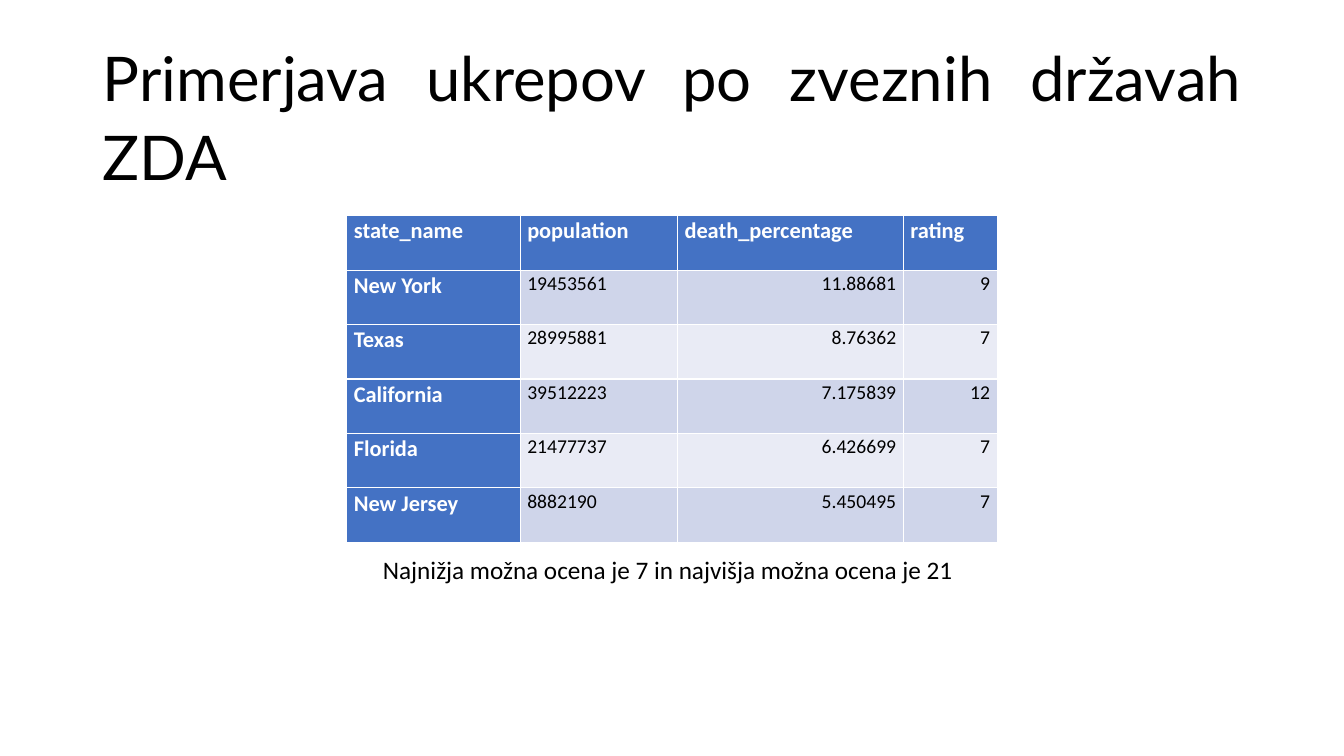
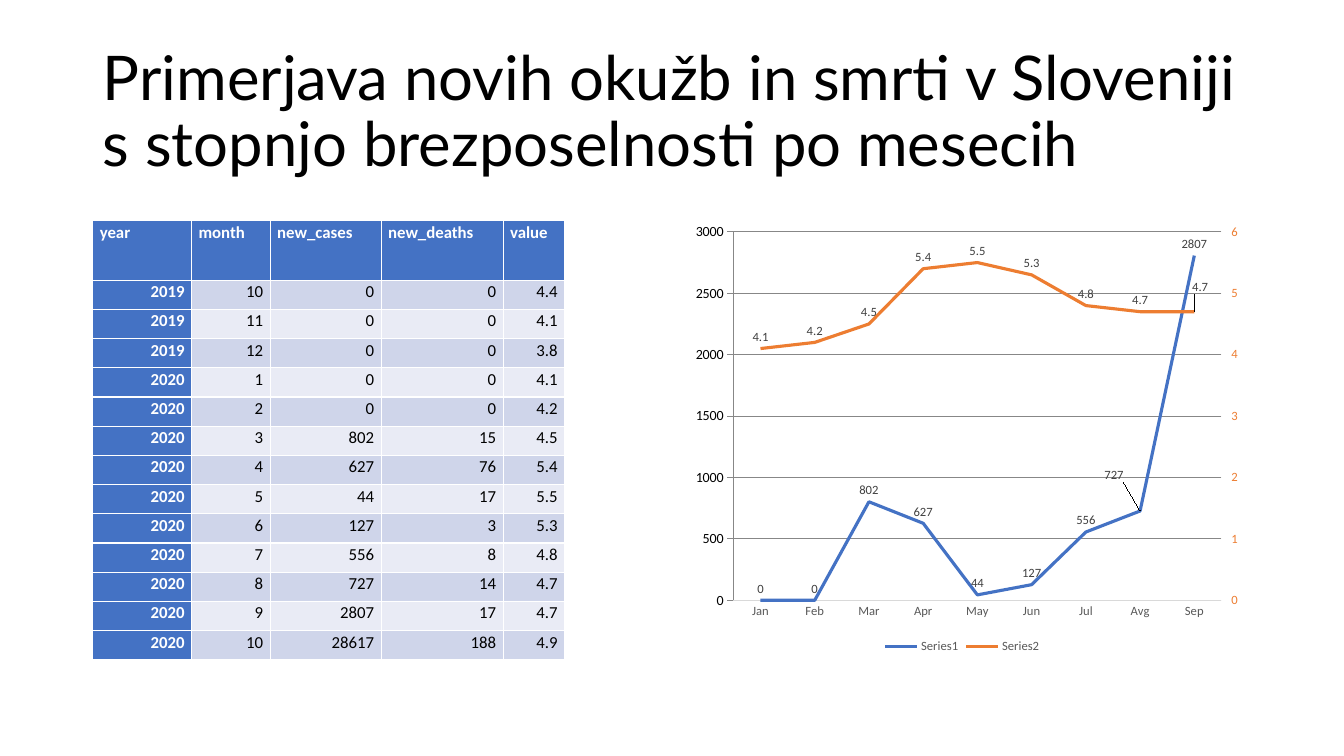
"""Build two slides that compare state measures and monthly unemployment."""
from copy import deepcopy

from pptx import Presentation
from pptx.chart.axis import CategoryAxis, ValueAxis
from pptx.chart.data import CategoryChartData
from pptx.dml.color import RGBColor
from pptx.enum.chart import (XL_CHART_TYPE, XL_LABEL_POSITION,
                             XL_LEGEND_POSITION, XL_TICK_MARK)
from pptx.enum.text import MSO_ANCHOR, MSO_AUTO_SIZE, PP_ALIGN
from pptx.oxml import parse_xml
from pptx.oxml.ns import nsdecls, qn
from pptx.util import Inches, Pt

BLUE, ORANGE, WHITE, BLACK = "4472C4", "ED7D31", "FFFFFF", "000000"
BANDS = ("E9EBF5", "CFD5EA")
GRID, AXIS_TEXT, LABEL_TEXT = "D9D9D9", "595959", "404040"
BODY_FONT, TITLE_FONT = "Calibri", "Lato"


def color(hex_text):
    return RGBColor.from_string(hex_text)


def write(frame, text, size=18, font=BODY_FONT, ink=BLACK, bold=False,
          align=PP_ALIGN.LEFT, spacing=1.0, before=0, after=0):
    para = frame.paragraphs[0]
    para.alignment = align
    para.line_spacing = spacing
    para.space_before, para.space_after = Pt(before), Pt(after)
    span = para.add_run()
    span.text = text
    span.font.name, span.font.size, span.font.bold = font, Pt(size), bold
    span.font.color.rgb = color(ink)


deck = Presentation()
deck.slide_width, deck.slide_height = Inches(13.33), Inches(7.5)

state_rows = [
    ("state_name", "population", "death_percentage", "rating"),
    ("New York", "19453561", "11.88681", "9"),
    ("Texas", "28995881", "8.76362", "7"),
    ("California", "39512223", "7.175839", "12"),
    ("Florida", "21477737", "6.426699", "7"),
    ("New Jersey", "8882190", "5.450495", "7"),
]
month_rows = [
    ("year", "month", "new_cases", "new_deaths", "value"),
    ("2019", "10", "0", "0", "4.4"),
    ("2019", "11", "0", "0", "4.1"),
    ("2019", "12", "0", "0", "3.8"),
    ("2020", "1", "0", "0", "4.1"),
    ("2020", "2", "0", "0", "4.2"),
    ("2020", "3", "802", "15", "4.5"),
    ("2020", "4", "627", "76", "5.4"),
    ("2020", "5", "44", "17", "5.5"),
    ("2020", "6", "127", "3", "5.3"),
    ("2020", "7", "556", "8", "4.8"),
    ("2020", "8", "727", "14", "4.7"),
    ("2020", "9", "2807", "17", "4.7"),
    ("2020", "10", "28617", "188", "4.9"),
]
contents = [
    dict(title="Primerjava ukrepov po zveznih državah ZDA",
         title_format=dict(align=PP_ALIGN.JUSTIFY, spacing=1.07, before=2, after=12),
         rows=state_rows, left=3.44, top=2.14, widths=(1.72, 1.56, 2.24, 0.93),
         header_height=0.54, row_height=0.54, head_size=16, body_size=14,
         left_columns=2),
    dict(title="Primerjava novih okužb in smrti v Sloveniji "
               "s stopnjo brezposelnosti po mesecih",
         title_format=dict(spacing=0.9),
         rows=month_rows, left=0.92, top=2.19, widths=(0.98, 0.78, 1.1, 1.21, 0.61),
         header_height=0.59, row_height=0.29, head_size=12, body_size=12,
         left_columns=0),
]

for content in contents:
    page = deck.slides.add_slide(deck.slide_layouts[5])
    title = page.shapes.title
    title.left, title.top = Inches(0.92), Inches(0.4)
    title.width, title.height = Inches(11.5), Inches(1.45)
    title.text_frame.word_wrap = True
    title.text_frame.auto_size = MSO_AUTO_SIZE.NONE
    title.text_frame.vertical_anchor = MSO_ANCHOR.MIDDLE
    write(title.text_frame, content["title"], size=44, font=TITLE_FONT,
          **content["title_format"])

    rows, widths = content["rows"], content["widths"]
    heights = [content["header_height"]] + [content["row_height"]] * (len(rows) - 1)
    table = page.shapes.add_table(
        len(rows), len(widths), Inches(content["left"]), Inches(content["top"]),
        Inches(sum(widths)), Inches(sum(heights))).table
    table.first_col = True
    for column, width in zip(table.columns, widths):
        column.width = Inches(width)
    for row_index, values in enumerate(rows):
        table.rows[row_index].height = Inches(heights[row_index])
        for column_index, value in enumerate(values):
            cell = table.cell(row_index, column_index)
            heading = row_index == 0 or column_index == 0
            to_left = row_index == 0 or column_index < content["left_columns"]
            cell.margin_left = cell.margin_right = Inches(0.07)
            cell.margin_top = cell.margin_bottom = 0
            cell.fill.solid()
            cell.fill.fore_color.rgb = color(BLUE if heading else BANDS[row_index % 2])
            write(cell.text_frame, value, bold=heading,
                  size=content["head_size"] if heading else content["body_size"],
                  ink=WHITE if heading else BLACK,
                  align=PP_ALIGN.LEFT if to_left else PP_ALIGN.RIGHT,
                  spacing=1.07, after=8)

states_page, months_page = deck.slides
note = states_page.shapes.add_textbox(Inches(3.7), Inches(5.45), Inches(5.94), Inches(0.4))
note.text_frame.word_wrap = False
note.text_frame.auto_size = MSO_AUTO_SIZE.SHAPE_TO_FIT_TEXT
write(note.text_frame, "Najnižja možna ocena je 7 in najvišja možna ocena je 21")

chart_data = CategoryChartData()
chart_data.categories = ["Jan", "Feb", "Mar", "Apr", "May", "Jun", "Jul", "Avg", "Sep"]
chart_data.add_series("Series1", (0, 0, 802, 627, 44, 127, 556, 727, 2807))
chart_data.add_series("Series2", (4.1, 4.2, 4.5, 5.4, 5.5, 5.3, 4.8, 4.7, 4.7))
chart = months_page.shapes.add_chart(
    XL_CHART_TYPE.LINE, Inches(6.67), Inches(2.12), Inches(5.75), Inches(4.41),
    chart_data).chart
chart.has_title = False
chart.has_legend = True
chart.legend.position = XL_LEGEND_POSITION.BOTTOM
chart.legend.include_in_layout = False
chart.font.name, chart.font.size = BODY_FONT, Pt(10)
chart.font.color.rgb = color(BLACK)

plot_area = chart.element.find(".//" + qn("c:plotArea"))
cases_plot = plot_area.find(qn("c:lineChart"))
rate_plot = deepcopy(cases_plot)
cases_plot.remove(cases_plot.findall(qn("c:ser"))[1])
rate_plot.remove(rate_plot.findall(qn("c:ser"))[0])
cases_plot.addnext(rate_plot)
value_element = plot_area.find(qn("c:valAx"))
rate_element = deepcopy(value_element)
month_element = deepcopy(plot_area.find(qn("c:catAx")))
value_element.addnext(rate_element)
rate_element.addnext(month_element)
for element in (rate_plot, rate_element, month_element):
    for link in element.iter(qn("c:axId"), qn("c:crossAx")):
        link.set("val", str(int(link.get("val")) + 1))
rate_element.find(qn("c:axPos")).set("val", "r")
rate_element.find(qn("c:crosses")).set("val", "max")
CategoryAxis(month_element).visible = False

month_axis, cases_axis, rate_axis = chart.category_axis, chart.value_axis, ValueAxis(rate_element)
for axis, top_value, step, tick in ((cases_axis, 3000, 500, XL_TICK_MARK.NONE),
                                    (rate_axis, 6, 1, XL_TICK_MARK.OUTSIDE)):
    axis.minimum_scale, axis.maximum_scale, axis.major_unit = 0, top_value, step
    axis.major_tick_mark = tick
    axis.format.line.fill.background()
rate_axis.has_major_gridlines = False
month_axis.major_tick_mark = XL_TICK_MARK.NONE
for line in (cases_axis.major_gridlines.format.line, month_axis.format.line):
    line.color.rgb = color(GRID)
    line.width = Pt(0.75)

fonts = [(month_axis.tick_labels.font, AXIS_TEXT), (cases_axis.tick_labels.font, BLUE),
         (rate_axis.tick_labels.font, ORANGE), (chart.legend.font, AXIS_TEXT)]
for plot, ink, moved_point in zip(chart.plots, (BLUE, ORANGE), (7, 8)):
    plot.vary_by_categories = False
    series = plot.series[0]
    series.smooth = False
    series.format.line.color.rgb = color(ink)
    series.format.line.width = Pt(2.25)
    series.data_labels.show_value = True
    for label in (series.data_labels, series.points[moved_point].data_label):
        label.position = XL_LABEL_POSITION.ABOVE
        fonts.append((label.font, LABEL_TEXT))
for font, ink in fonts:
    font.name, font.size = BODY_FONT, Pt(9)
    font.color.rgb = color(ink)

cases_label, rate_label = plot_area.iter(qn("c:dLbl"))
edges = dict(layoutTarget="inner", xMode="edge", yMode="edge")
layouts = [(plot_area, 0, dict(edges, x=0.105, y=0.041, w=0.842, h=0.829)),
           (cases_label, 1, dict(x=-0.045, y=-0.055)),
           (rate_label, 1, dict(x=0.01, y=-0.03))]
for parent, position, settings in layouts:
    for previous in parent.findall(qn("c:layout")):
        parent.remove(previous)
    parts = "".join(f'<c:{name} val="{value}"/>' for name, value in settings.items())
    parent.insert(position, parse_xml(
        f'<c:layout {nsdecls("c")}><c:manualLayout>{parts}</c:manualLayout></c:layout>'))

deck.save("out.pptx")
